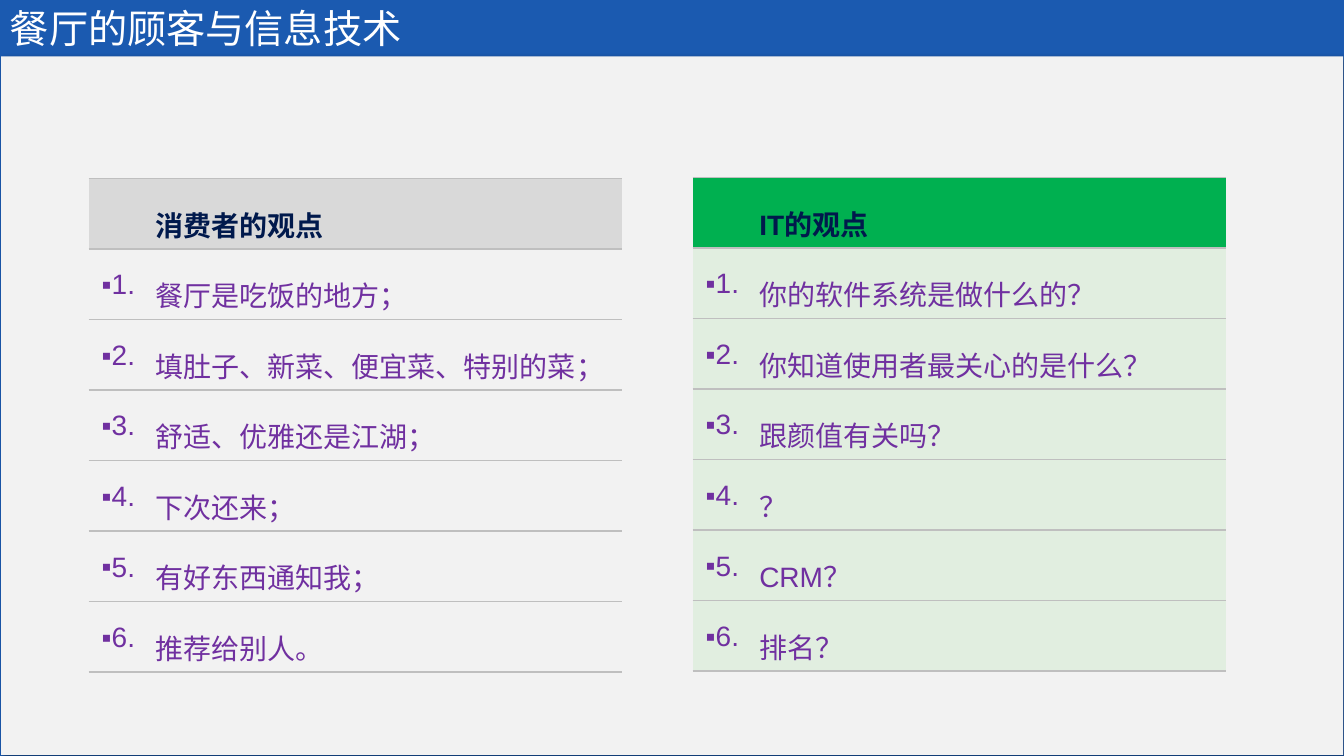
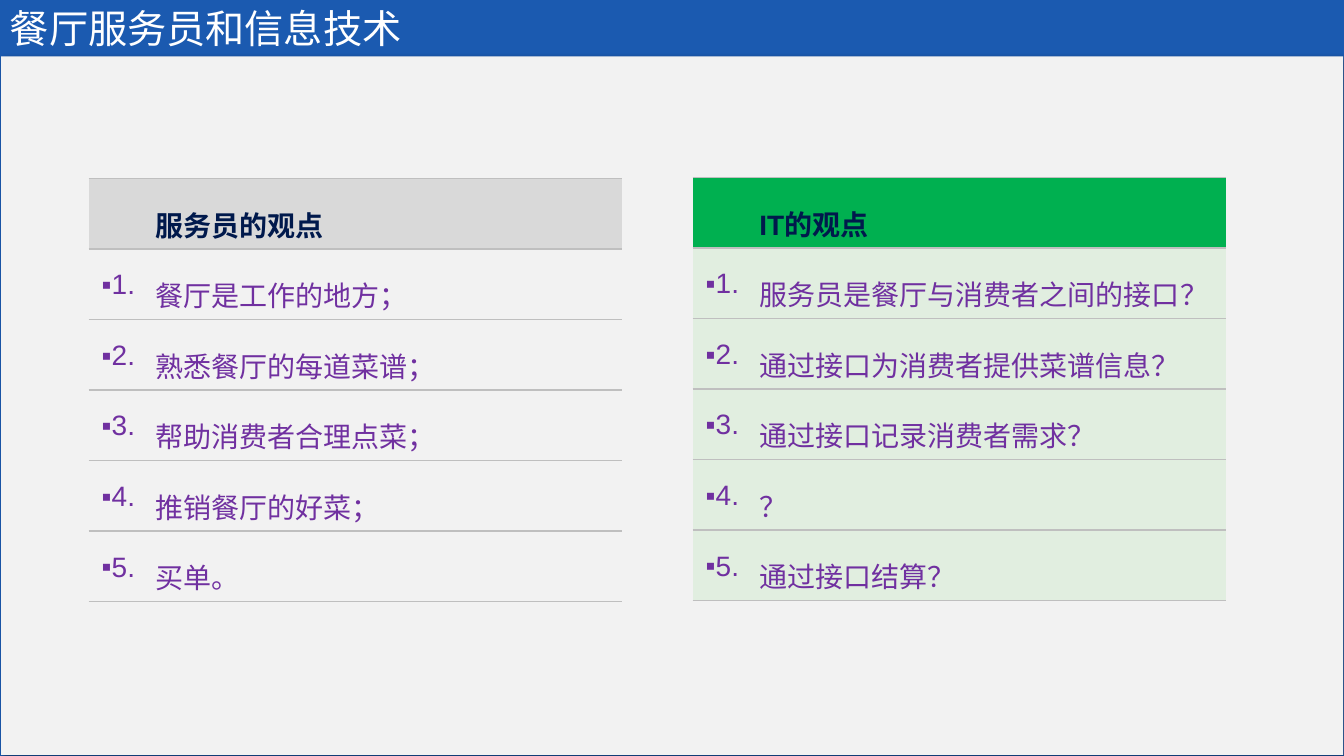
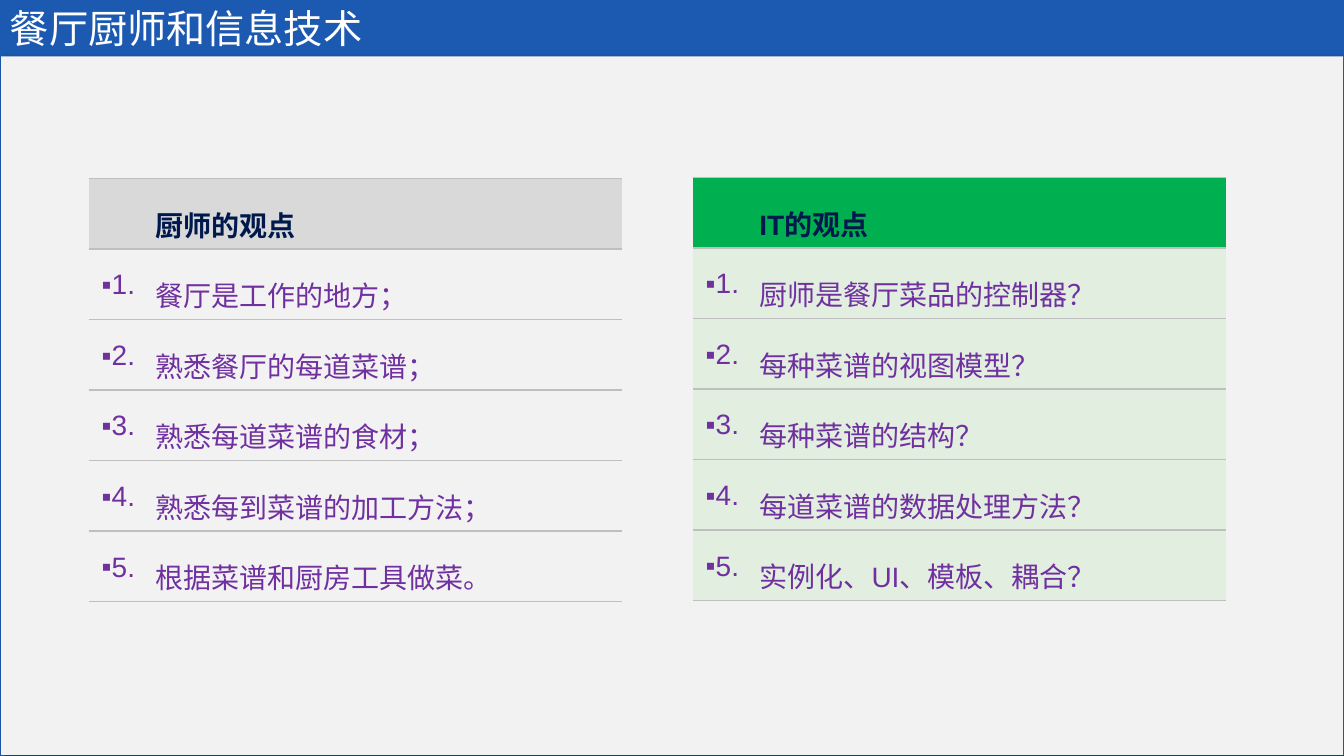
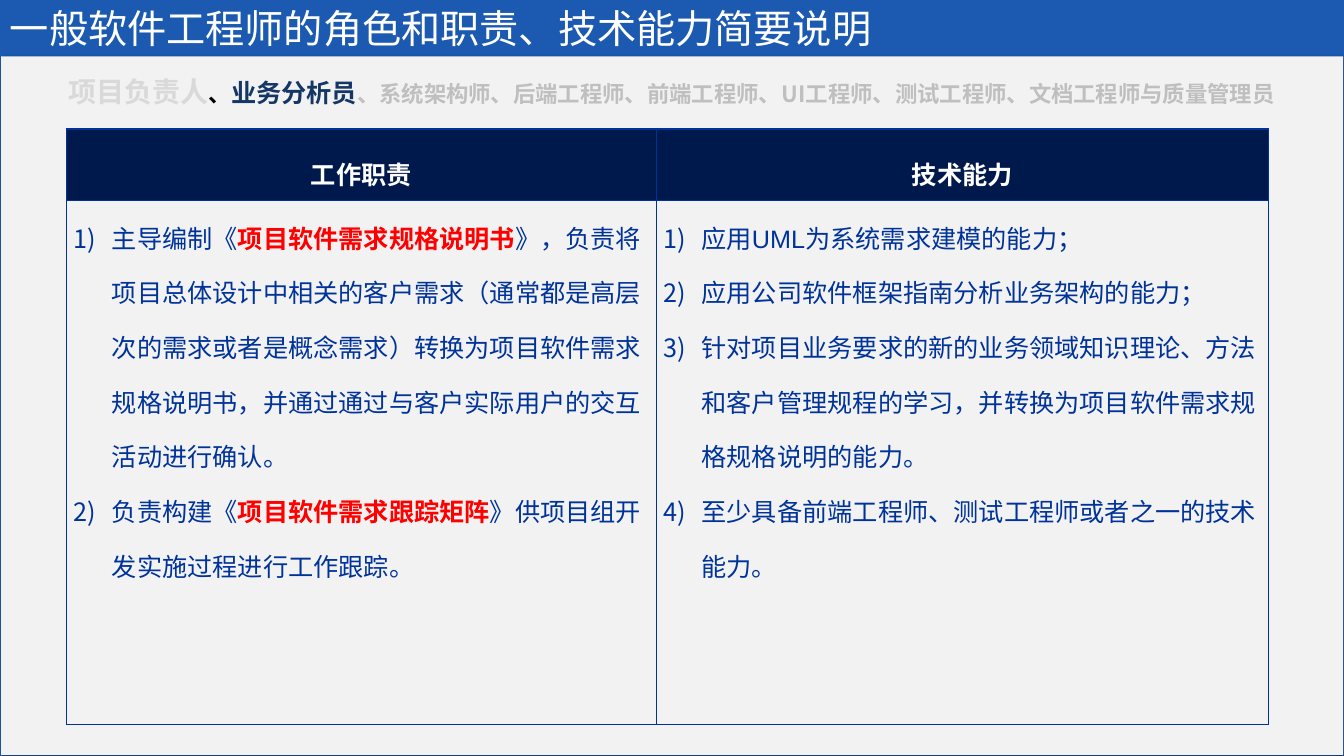
from dataclasses import dataclass

from pptx import Presentation
from pptx.dml.color import RGBColor
from pptx.enum.lang import MSO_LANGUAGE_ID
from pptx.enum.shapes import MSO_SHAPE
from pptx.enum.text import MSO_ANCHOR, PP_ALIGN
from pptx.oxml import parse_xml
from pptx.oxml.ns import nsdecls
from pptx.util import Inches, Pt


@dataclass(frozen=True)
class Theme:
    band: str = "1B5AB0"
    panel: str = "F2F2F2"
    white: str = "FFFFFF"
    black: str = "000000"
    navy: str = "00194C"
    purple: str = "7030A0"
    rule: str = "BFBFBF"
    grey_head: str = "D9D9D9"
    green_head: str = "00B050"
    green_body: str = "E1EEE0"
    duty: str = "003399"
    alert: str = "FF0000"
    current_role: str = "153765"
    title_font: str = "Cabin"
    body_font: str = "Arial"
    cjk_font: str = "Noto Sans CJK SC"
    title_size: int = 28
    large: int = 20
    medium: int = 18
    small: int = 16
    leading: float = 1.5


THEME = Theme()
SQUARE = '<a:buChar {} char="▪"/>'
NUMBER = '<a:buAutoNum {} type="arabicParenR"/>'


def drawing(markup):
    return parse_xml(markup.format(nsdecls("a")))


def write(frame, paragraphs, *, size, color, font=THEME.body_font, bold=False,
          align=PP_ALIGN.LEFT, leading=None, bullet=None,
          bullet_font=THEME.body_font, hanging=0):
    for index, content in enumerate(paragraphs):
        paragraph = frame.add_paragraph() if index else frame.paragraphs[0]
        paragraph.alignment = align
        if leading:
            paragraph.line_spacing = leading
        if bullet:
            properties = paragraph._p.get_or_add_pPr()
            properties.set("marL", str(Inches(hanging)))
            properties.set("indent", str(-Inches(hanging)))
            properties.append(drawing(f'<a:buFont {{}} typeface="{bullet_font}"/>'))
            properties.append(drawing(bullet))
        pieces = [(content, {})] if isinstance(content, str) else content
        for text, changes in pieces:
            run = paragraph.add_run()
            run.text = text
            run.font.size = Pt(changes.get("size", size))
            run.font.bold = changes.get("bold", bold)
            run.font.color.rgb = RGBColor.from_string(changes.get("color", color))
            run.font.name = font
            run.font.language_id = MSO_LANGUAGE_ID.SIMPLIFIED_CHINESE
            run._r.get_or_add_rPr().append(
                drawing(f'<a:ea {{}} typeface="{THEME.cjk_font}"/>'))


class Deck:
    def __init__(self, theme):
        self.theme = theme
        self.show = Presentation()
        self.show.slide_width = Inches(13.33)
        self.show.slide_height = Inches(7.5)
        backdrop = self.show.slide_master.background.fill
        backdrop.solid()
        backdrop.fore_color.rgb = RGBColor.from_string(theme.band)
        self.slide = None

    def across(self, percent):
        return round(self.show.slide_width * percent / 100)

    def down(self, percent):
        return round(self.show.slide_height * percent / 100)

    def area(self, left, top, width, height):
        return (self.across(left), self.down(top),
                self.across(width), self.down(height))

    def page(self, title):
        theme = self.theme
        self.slide = self.show.slides.add_slide(self.show.slide_layouts[6])
        self.panel(0.08, 7.47, 99.85, 92.4)
        self.text([title], 0, 0.13, 100, 7.07, anchor=MSO_ANCHOR.MIDDLE,
                  size=theme.title_size, color=theme.white, font=theme.title_font)

    def panel(self, *place):
        panel = self.slide.shapes.add_shape(MSO_SHAPE.RECTANGLE, *self.area(*place))
        panel.fill.solid()
        panel.fill.fore_color.rgb = RGBColor.from_string(self.theme.panel)
        panel.line.fill.background()
        panel.shadow.inherit = False
        panel._element.spPr.find("{*}effectLst").append(drawing(
            '<a:outerShdw {} blurRad="50800" dist="38100" dir="2700000">'
            '<a:srgbClr val="000000"><a:alpha val="40000"/></a:srgbClr>'
            '</a:outerShdw>'))

    def text(self, paragraphs, *place, anchor=MSO_ANCHOR.TOP, **style):
        frame = self.slide.shapes.add_textbox(*self.area(*place)).text_frame
        frame.word_wrap = True
        frame.vertical_anchor = anchor
        write(frame, paragraphs, **style)

    def table(self, left, top, widths, heights):
        place = self.area(left, top, sum(widths), sum(heights))
        table = self.slide.shapes.add_table(len(heights), len(widths), *place).table
        table.first_row = table.horz_banding = False
        for column, width in zip(table.columns, widths):
            column.width = self.across(width)
        for row, height in zip(table.rows, heights):
            row.height = self.down(height)
        return table

    def cell(self, cell, fill, line, ruled):
        if fill:
            cell.fill.solid()
            cell.fill.fore_color.rgb = RGBColor.from_string(fill)
        else:
            cell.fill.background()
        for index, side in enumerate("LRTB"):
            paint = (f'<a:solidFill><a:srgbClr val="{line}"/></a:solidFill>'
                     if side in ruled else '<a:noFill/>')
            cell._tc.get_or_add_tcPr().insert(index, drawing(
                f'<a:ln{side} {{}} w="12700">{paint}</a:ln{side}>'))

    def viewpoint(self, left, top, heading, points, head_fill, body_fill=None):
        theme = self.theme
        table = self.table(left, top, (4.2, 35.48), [9.33] * (len(points) + 1))
        for row in range(len(points) + 1):
            for column in range(2):
                self.cell(table.cell(row, column), body_fill if row else head_fill,
                          theme.rule, "TB")
        shared = dict(size=theme.large, leading=theme.leading)
        write(table.cell(0, 1).text_frame, [heading], color=theme.navy,
              bold=True, **shared)
        for row, point in enumerate(points, 1):
            write(table.cell(row, 0).text_frame, [f"{row}."], color=theme.purple,
                  align=PP_ALIGN.RIGHT, bullet=SQUARE, **shared)
            write(table.cell(row, 1).text_frame, [point], color=theme.purple, **shared)

    def comparison(self, title, heading, role_points, it_points):
        theme = self.theme
        self.page(title)
        self.viewpoint(6.6, 23.6, heading, role_points, theme.grey_head)
        self.viewpoint(51.54, 23.47, "IT的观点", it_points,
                       theme.green_head, theme.green_body)

    def role_table(self, columns):
        theme = self.theme
        table = self.table(4.95, 17.07, (43.88, 45.53), (9.47, 69.33))
        shared = dict(size=theme.medium, leading=theme.leading)
        for index, (heading, items) in enumerate(columns):
            head, body = table.cell(0, index), table.cell(1, index)
            self.cell(head, theme.navy, theme.duty, "LRTB")
            self.cell(body, None, theme.duty, "LRTB")
            for cell in (head, body):
                cell.margin_left = cell.margin_right = Inches(0.07)
                cell.margin_top = cell.margin_bottom = 0
            head.vertical_anchor = MSO_ANCHOR.MIDDLE
            write(head.text_frame, [heading], color=theme.white, bold=True,
                  align=PP_ALIGN.CENTER, **shared)
            write(body.text_frame, items, color=theme.duty, bullet=NUMBER,
                  bullet_font=theme.cjk_font, hanging=0.38, **shared)


COMPARISONS = [
    ("餐厅的顾客与信息技术", "消费者的观点",
     ["餐厅是吃饭的地方；", "填肚子、新菜、便宜菜、特别的菜；", "舒适、优雅还是江湖；",
      "下次还来；", "有好东西通知我；", "推荐给别人。"],
     ["你的软件系统是做什么的？", "你知道使用者最关心的是什么？", "跟颜值有关吗？",
      "？", "CRM？", "排名？"]),
    ("餐厅服务员和信息技术", "服务员的观点",
     ["餐厅是工作的地方；", "熟悉餐厅的每道菜谱；", "帮助消费者合理点菜；",
      "推销餐厅的好菜；", "买单。"],
     ["服务员是餐厅与消费者之间的接口？", "通过接口为消费者提供菜谱信息？",
      "通过接口记录消费者需求？", "？", "通过接口结算？"]),
    ("餐厅厨师和信息技术", "厨师的观点",
     ["餐厅是工作的地方；", "熟悉餐厅的每道菜谱；", "熟悉每道菜谱的食材；",
      "熟悉每到菜谱的加工方法；", "根据菜谱和厨房工具做菜。"],
     ["厨师是餐厅菜品的控制器？", "每种菜谱的视图模型？", "每种菜谱的结构？",
      "每道菜谱的数据处理方法？", "实例化、UI、模板、耦合？"]),
]

KEY_DOCUMENT = dict(color=THEME.alert, bold=True)
ROLES = [
    ("项目负责人", dict(size=THEME.large, color=THEME.grey_head)),
    ("、", dict(color=THEME.black)),
    ("业务分析员", dict(size=THEME.medium, color=THEME.current_role)),
    ("、系统架构师、后端工程师、前端工程师、UI工程师、测试工程师、文档工程师与质量管理员", {}),
]
ANALYST = [
    ("工作职责", [
        [("主导编制《", {}), ("项目软件需求规格说明书", KEY_DOCUMENT),
         ("》，负责将项目总体设计中相关的客户需求（通常都是高层次的需求或者是概念需求）"
          "转换为项目软件需求规格说明书，并通过通过与客户实际用户的交互活动进行确认。", {})],
        [("负责构建《", {}), ("项目软件需求跟踪矩阵", KEY_DOCUMENT),
         ("》供项目组开发实施过程进行工作跟踪。", {})],
    ]),
    ("技术能力", [
        "应用UML为系统需求建模的能力；",
        "应用公司软件框架指南分析业务架构的能力；",
        "针对项目业务要求的新的业务领域知识理论、方法和客户管理规程的学习，"
        "并转换为项目软件需求规格规格说明的能力。",
        "至少具备前端工程师、测试工程师或者之一的技术能力。",
    ]),
]


def main():
    deck = Deck(THEME)
    for comparison in COMPARISONS:
        deck.comparison(*comparison)
    deck.page("一般软件工程师的角色和职责、技术能力简要说明")
    deck.text([ROLES], 4.35, 9.2, 92.87, 5.87, size=THEME.small,
              color=THEME.rule, font=THEME.cjk_font, bold=True)
    deck.role_table(ANALYST)
    deck.show.save("out.pptx")


if __name__ == "__main__":
    main()
